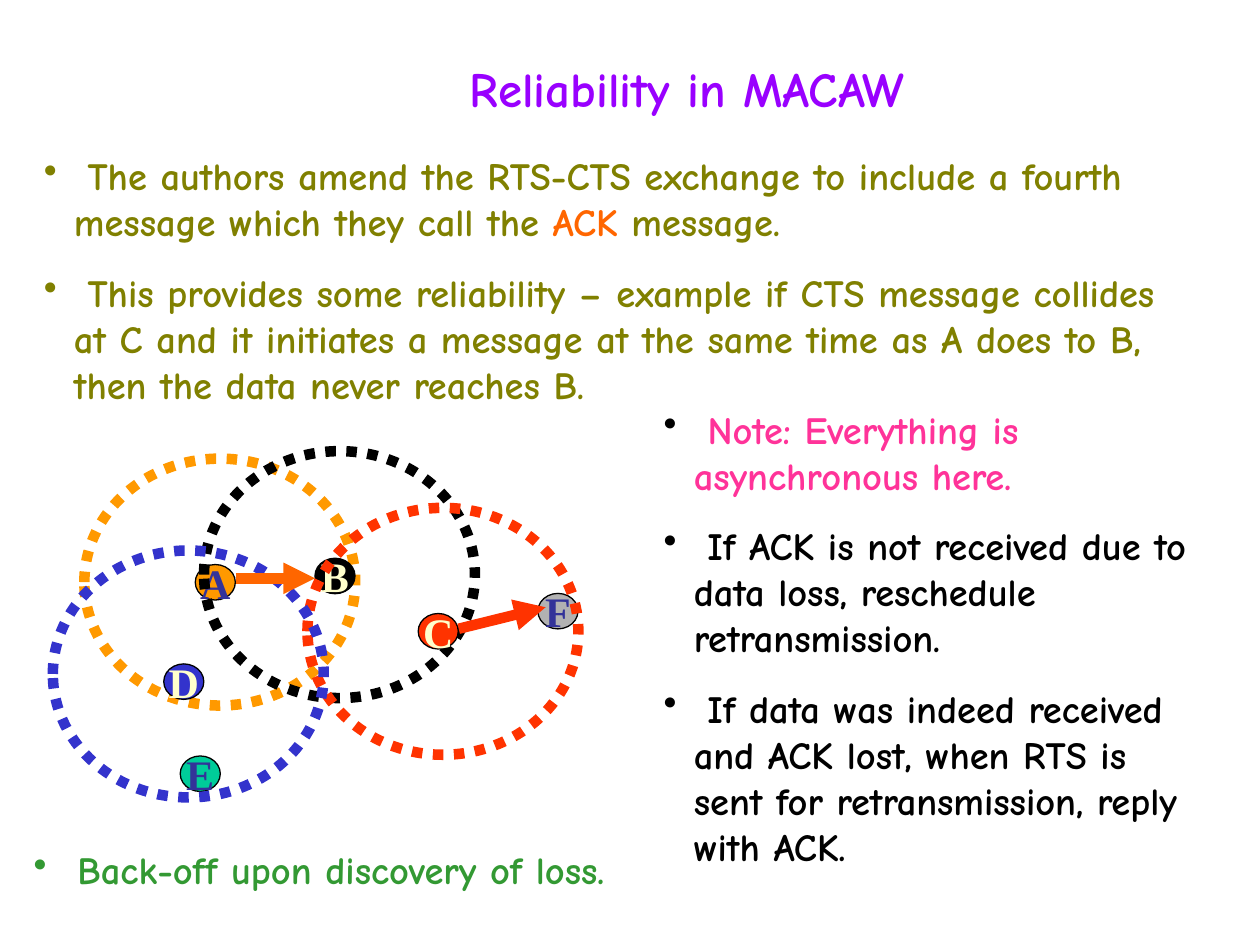
from lxml.etree import SubElement
from pptx import Presentation
from pptx.dml.color import RGBColor
from pptx.enum.dml import MSO_LINE
from pptx.enum.shapes import MSO_CONNECTOR, MSO_SHAPE
from pptx.enum.text import MSO_ANCHOR, PP_ALIGN
from pptx.oxml.ns import qn
from pptx.util import Pt

THEME = {
    "title": "9900FF", "olive": "808000", "orange": "FF6600", "pink": "FF3399",
    "green": "339933", "black": "000000", "cream": "FFFFCC", "navy": "333399",
    "amber": "FF9900", "red": "FF3300", "blue": "3333CC", "gray": "B2B2B2",
    "teal": "00CC99",
    "title_font": {"name": "Comic Neue", "size": Pt(28), "bold": True},
    "body_font": {"name": "Comic Neue", "size": Pt(22), "bold": True},
    "node_font": {"name": "Times New Roman", "size": Pt(24), "bold": True},
}
PAGE_SIZE = (720, 540)
NODE_SIZE = (22.9, 20.3)
RANGE_SIZE = (154.8, 141.1)
HEAVY_LINE, THIN_LINE = 6, 0.75
BULLET_INDENT, SPACE_BEFORE = 17.2, 13.8

TITLE = ("Reliability in MACAW", (261.4, 30.2, 264.2, 41))

# Each list: bullet colour, place, paragraphs of (text, colour) spans
BULLET_LISTS = [
    ("olive", (18, 83.5, 671.8, 153.4), [
        [(" The authors amend the RTS-CTS exchange to include a fourth message "
          "which they call the ", "olive"), ("ACK", "orange"), (" message.", "olive")],
        [(" This provides some reliability – example if CTS message collides at C "
          "and it initiates a message at the same time as A does to B, then the "
          "data never reaches B.", "olive")],
    ]),
    ("black", (372.2, 228.2, 318.2, 272.2), [
        [(" ", "black"), ("Note: Everything is asynchronous here.", "pink")],
        [(" If ACK is not received due to data loss, reschedule retransmission.", "black")],
        [(" If data was indeed received and ACK lost, when RTS is sent for "
          "retransmission, reply with ACK.", "black")],
    ]),
    ("green", (12.2, 480.2, 365.8, 33.8), [
        [(" Back-off upon discovery of loss.", "green")],
    ]),
]

# Back to front: (label, left, top, fill, text colour) is a node,
# (left, top, colour) is the radio range of a node
NETWORK = [
    ("A", 111.6, 322.6, "amber", "navy"),
    (48.2, 262.1, "amber"),
    ("B", 180, 319, "black", "cream"),
    (116.6, 257.8, "black"),
    ("C", 239, 350.6, "red", "cream"),
    ("D", 93.6, 379.4, "blue", "cream"),
    ("F", 307.4, 339.1, "gray", "navy"),
    ("E", 103, 432, "teal", "navy"),
    (175.7, 290.2, "red"),
    (30.2, 314.6, "blue"),
]
TRANSMISSIONS = [
    ((134.6, 330.5), (180, 330.5), "orange"),
    ((262.1, 359.3), (311.8, 347), "red"),
]


def color(name):
    return RGBColor.from_string(THEME[name])


def points(values):
    return [Pt(value) for value in values]


def add_span(para, text, color_name, font_key):
    span = para.add_run()
    span.text = text
    for name, value in THEME[font_key].items():
        setattr(span.font, name, value)
    span.font.color.rgb = color(color_name)


def add_bullet(para, color_name):
    """Give the paragraph a hanging round bullet in its own colour."""
    para.space_before = Pt(SPACE_BEFORE)
    properties = para._p.get_or_add_pPr()
    properties.set("marL", str(Pt(BULLET_INDENT)))
    properties.set("indent", str(-Pt(BULLET_INDENT)))
    bullet_color = SubElement(properties, qn("a:buClr"))
    SubElement(bullet_color, qn("a:srgbClr"), val=THEME[color_name])
    SubElement(properties, qn("a:buChar"), char="•")


def add_bullet_list(page, bullet_color, place, paragraphs):
    frame = page.shapes.add_textbox(*points(place)).text_frame
    frame.word_wrap = True
    for index, spans in enumerate(paragraphs):
        para = frame.add_paragraph() if index else frame.paragraphs[0]
        add_bullet(para, bullet_color)
        for text, color_name in spans:
            add_span(para, text, color_name, "body_font")


def add_ellipse(group, place, line_color, line_width):
    ellipse = group.shapes.add_shape(MSO_SHAPE.OVAL, *points(place))
    ellipse.shadow.inherit = False
    ellipse.line.color.rgb = color(line_color)
    ellipse.line.width = Pt(line_width)
    return ellipse


def add_node(group, label, left, top, fill, text_color):
    node = add_ellipse(group, (left, top, *NODE_SIZE), "black", THIN_LINE)
    node.fill.solid()
    node.fill.fore_color.rgb = color(fill)
    frame = node.text_frame
    frame.word_wrap = False
    frame.vertical_anchor = MSO_ANCHOR.MIDDLE
    para = frame.paragraphs[0]
    para.alignment = PP_ALIGN.CENTER
    add_span(para, label, text_color, "node_font")


def add_range(group, left, top, line_color):
    circle = add_ellipse(group, (left, top, *RANGE_SIZE), line_color, HEAVY_LINE)
    circle.fill.background()
    circle.line.dash_style = MSO_LINE.ROUND_DOT  # written as sysDot


def add_arrow(group, start, end, line_color):
    arrow = group.shapes.add_connector(MSO_CONNECTOR.STRAIGHT, *points(start + end))
    arrow.line.color.rgb = color(line_color)
    arrow.line.width = Pt(HEAVY_LINE)
    SubElement(arrow.line._get_or_add_ln(), qn("a:tailEnd"), type="triangle")
    SubElement(arrow._element.spPr, qn("a:effectLst"))


def main():
    deck = Presentation()
    deck.slide_width, deck.slide_height = points(PAGE_SIZE)
    page = deck.slides.add_slide(deck.slide_layouts[6])

    title, place = TITLE
    frame = page.shapes.add_textbox(*points(place)).text_frame
    frame.word_wrap = False
    add_span(frame.paragraphs[0], title, "title", "title_font")

    first_list, *other_lists = BULLET_LISTS
    add_bullet_list(page, *first_list)

    network = page.shapes.add_group_shape()
    for item in NETWORK:
        add_part = add_node if isinstance(item[0], str) else add_range
        add_part(network, *item)
    for transmission in TRANSMISSIONS:
        add_arrow(network, *transmission)

    for bullet_list in other_lists:
        add_bullet_list(page, *bullet_list)
    deck.save("out.pptx")


if __name__ == "__main__":
    main()
